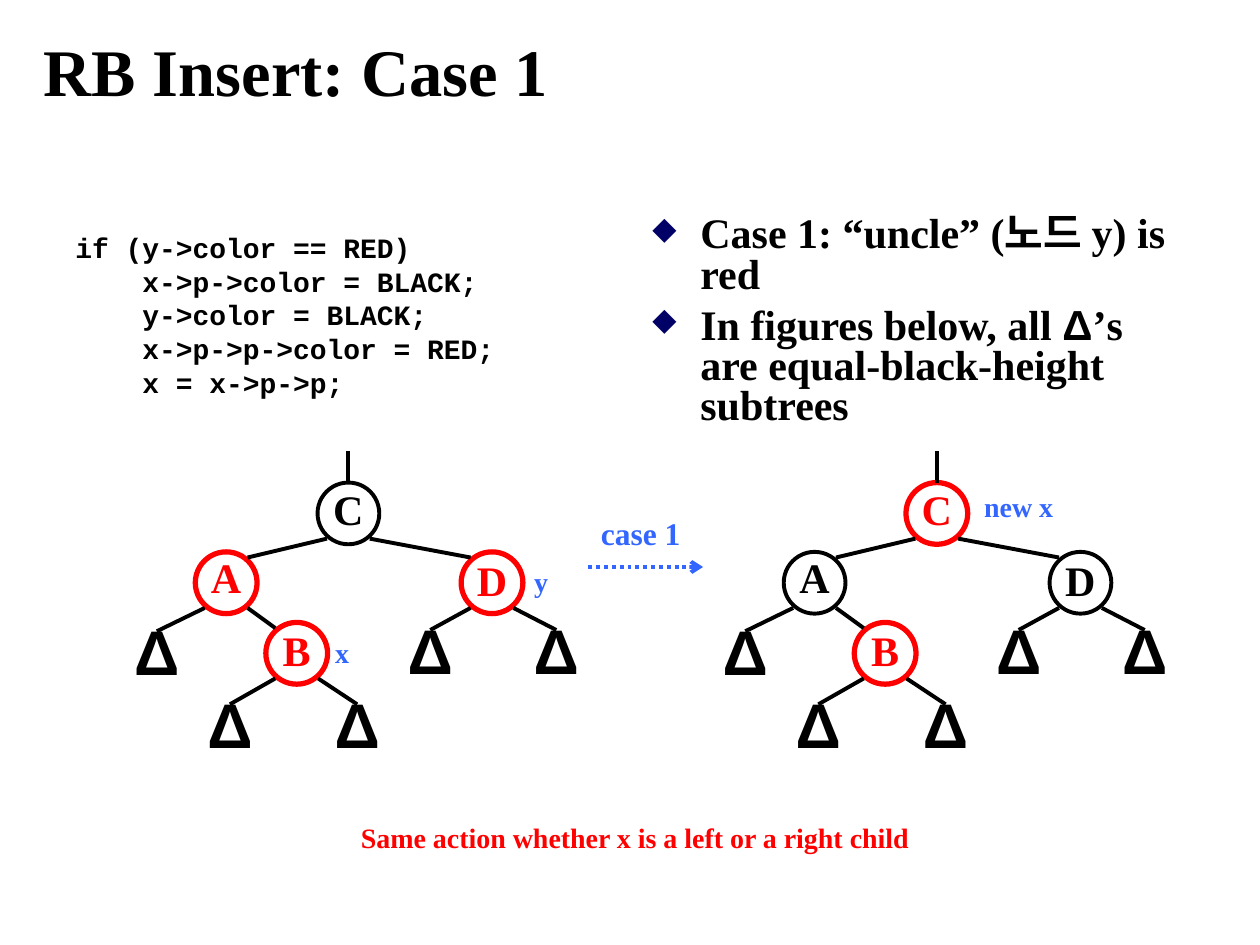
import pptx
import pptx.dml.color
import pptx.enum.dml
import pptx.enum.shapes
import pptx.enum.text
import pptx.oxml.ns
import pptx.util
from lxml import etree

Inches = pptx.util.Inches
Pt = pptx.util.Pt
ALIGN = pptx.enum.text.PP_ALIGN
ANCHOR = pptx.enum.text.MSO_ANCHOR
BLACK, RED, BLUE, WHITE, NAVY = "000000", "FF0000", "3366FF", "FFFFFF", "000066"
SERIF, SANS, MONO = "Times New Roman", "Arial", "Courier New"
SIZE = 0.49
EDGE_X, EDGE_Y = 0.17, 0.2
NODES = {"C": (2.52, 3.83, 0.8), "A": (1.55, 4.38, 0.7),
         "D": (3.66, 4.38, 0.9), "B": (2.11, 4.94, 0.9)}
BRANCHES = [("C", "A", -1), ("C", "D", 1), ("A", "B", 1)]
SUBTREES = [("A", -1, 1.0, 5.01, WHITE), ("B", -1, 1.58, 5.59, WHITE),
            ("B", 1, 2.59, 5.59, None), ("D", -1, 3.17, 5.0, None),
            ("D", 1, 4.17, 5.0, None)]
CODE = ["if (y->color == RED)",
        "    x->p->color = BLACK;",
        "    y->color = BLACK;",
        "    x->p->p->color = RED;",
        "    x = x->p->p;"]
POINTS = ["Case 1: “uncle” (노드 y) is red",
          [("In figures below, all ", SERIF), ("Δ", SANS),
           ("’s are equal-black-height subtrees", SERIF)]]


def rgb(color):
    return pptx.dml.color.RGBColor.from_string(color)


def sub(parent, tag, **attrs):
    return etree.SubElement(parent, pptx.oxml.ns.qn(tag), attrs)


def write(tf, text, size=16, font=SERIF, color=BLACK, align=ALIGN.LEFT,
          spacing=0.8, before=0, indent=0, bullet=None):
    for i, line in enumerate(text if isinstance(text, list) else [text]):
        p = tf.add_paragraph() if i else tf.paragraphs[0]
        p.alignment = align
        p.line_spacing = spacing
        p.space_before = Pt(before if i else 0)
        pPr = p._p.get_or_add_pPr()
        if indent:
            pPr.set("marL", str(Inches(indent)))
            pPr.set("indent", str(-Inches(indent)))
        if bullet:
            sub(sub(pPr, "a:buClr"), "a:srgbClr", val=NAVY)
            sub(pPr, "a:buSzPct", val="75000")
            sub(pPr, "a:buChar", char=bullet)
        for part, face in [(line, font)] if isinstance(line, str) else line:
            r = p.add_run()
            r.text = part
            r.font.size = Pt(size)
            r.font.name = face
            r.font.bold = True
            r.font.color.rgb = rgb(color)


class Slide:
    """Holds the line style and the current slide, and draws its elements."""

    def __init__(self, prs, line_width=2.25):
        self.s = prs.slides.add_slide(prs.slide_layouts[6])
        self.line_width = line_width

    def text(self, x, y, w, h, text, anchor=ANCHOR.TOP, wrap=True, **fmt):
        sp = self.s.shapes.add_textbox(Inches(x), Inches(y), Inches(w), Inches(h))
        tf = sp.text_frame
        tf.word_wrap = wrap
        tf.vertical_anchor = anchor
        write(tf, text, **fmt)

    def label(self, x, y, w, h, text, color=BLUE, size=16):
        self.text(x, y, w, h, text, anchor=ANCHOR.MIDDLE, wrap=False,
                  color=color, size=size, align=ALIGN.CENTER)

    def circle(self, x, y, text, fill=WHITE, outline=None, **fmt):
        sp = self.s.shapes.add_shape(pptx.enum.shapes.MSO_SHAPE.OVAL,
                                     Inches(x), Inches(y), Inches(SIZE), Inches(SIZE))
        sp.shadow.inherit = False
        if fill:
            sp.fill.solid()
            sp.fill.fore_color.rgb = rgb(fill)
        else:
            sp.fill.background()
        if outline:
            sp.line.color.rgb = rgb(outline)
            sp.line.width = Pt(3 if outline == RED else self.line_width)
        else:
            sp.line.fill.background()
        tf = sp.text_frame
        tf.word_wrap = False
        tf.vertical_anchor = ANCHOR.MIDDLE
        write(tf, text, align=ALIGN.CENTER, **fmt)
        return sp

    def line(self, start, end, color=BLACK):
        cn = self.s.shapes.add_connector(pptx.enum.shapes.MSO_CONNECTOR.STRAIGHT,
                                         *map(Inches, start + end))
        cn.line.color.rgb = rgb(color)
        cn.line.width = Pt(self.line_width)
        sub(cn._element.spPr, "a:effectLst")
        return cn

    def arrow(self, start, end, color):
        cn = self.line(start, end, color)
        cn.line.dash_style = pptx.enum.dml.MSO_LINE.ROUND_DOT
        sub(cn.line._get_or_add_ln(), "a:tailEnd", type="arrow")

    def tree(self, dx, red):
        mid = SIZE / 2
        centers = {}
        for name, (x, y, spacing) in NODES.items():
            color = RED if name in red else BLACK
            centers[name] = (x + dx + mid, y + mid)
            sp = self.circle(x + dx, y, name, outline=color, color=color,
                             size=24, spacing=spacing)
            if name == "C":
                cx = x + dx + mid
                self.line((cx, y), (cx, y - 0.25)).begin_connect(sp, 0)
        for parent, child, side in BRANCHES:
            (px, py), (cx, cy) = centers[parent], centers[child]
            self.line((px + side * EDGE_X, py + EDGE_Y),
                      (cx - side * EDGE_X, cy - EDGE_Y))
        for parent, side, x, y, fill in SUBTREES:
            px, py = centers[parent]
            sp = self.circle(x + dx, y, "Δ", fill=fill, size=36, font=SANS, spacing=0.6)
            self.line((px + side * EDGE_X, py + EDGE_Y),
                      (x + dx + mid, y)).end_connect(sp, 0)


def main():
    prs = pptx.Presentation()
    prs.slide_width, prs.slide_height = Inches(10), Inches(7.5)
    s = Slide(prs)
    s.text(0.25, 0.25, 9.42, 0.67, "RB Insert: Case 1", anchor=ANCHOR.BOTTOM,
           size=38, spacing=1.0)
    s.text(0.5, 1.83, 4.42, 1.83, CODE, font=MONO, before=4, indent=0.38)
    s.text(5.08, 1.67, 4.42, 1.92, POINTS, size=24, before=6, indent=0.38, bullet="◆")
    s.tree(0, red="ADB")
    s.tree(4.67, red="CB")
    s.arrow((4.67, 4.5), (5.58, 4.5), BLUE)
    s.label(2.56, 5.04, 0.31, 0.32, "x")
    s.label(4.14, 4.48, 0.31, 0.32, "y")
    s.label(7.71, 3.88, 0.75, 0.32, "new x")
    s.label(4.67, 4.09, 0.83, 0.34, "case 1", size=18)
    s.label(2.76, 6.51, 4.56, 0.32, "Same action whether x is a left or a right child", RED)
    prs.save("out.pptx")


if __name__ == "__main__":
    main()
